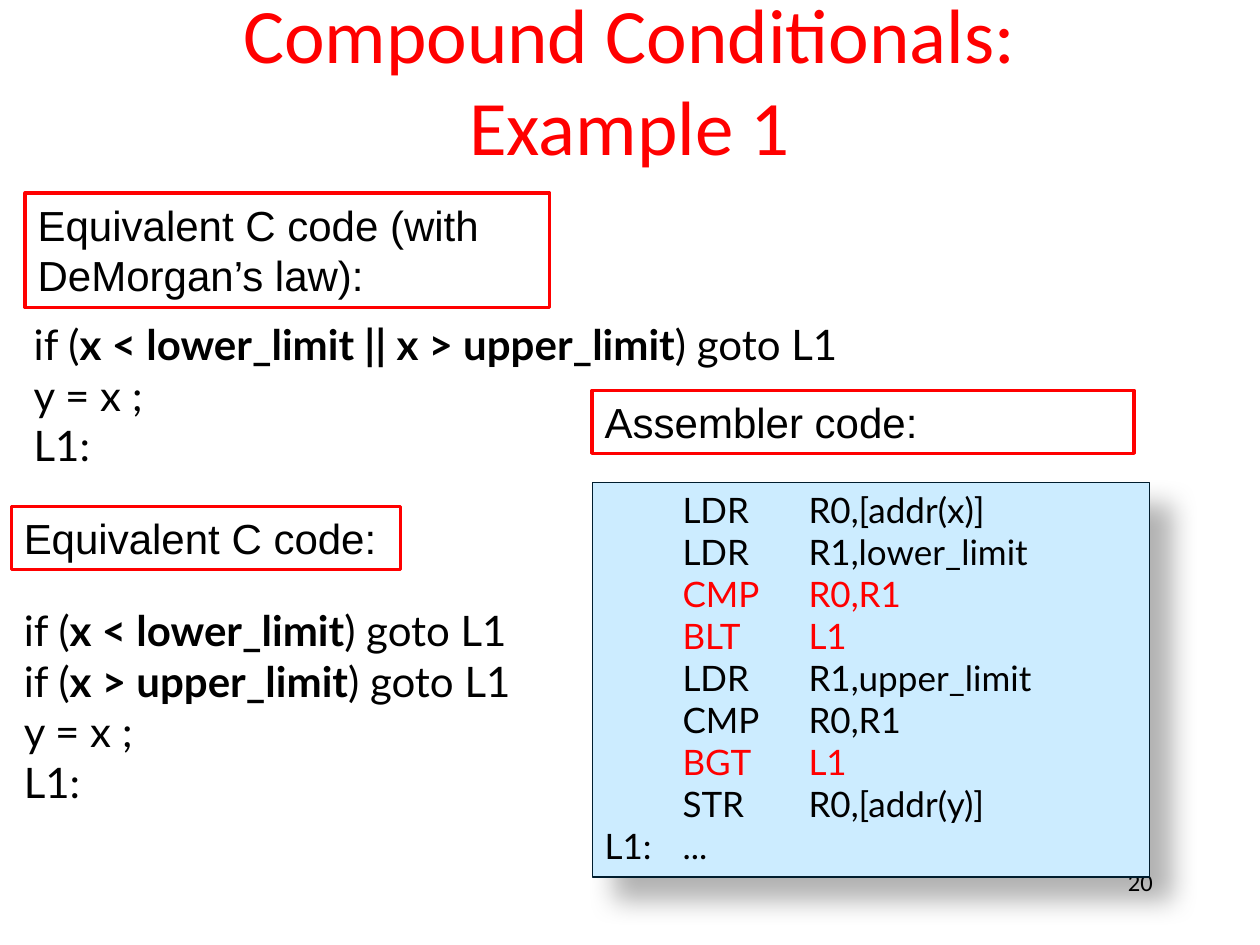
"""Build the slide on compound conditionals in C and assembler."""
from lxml import etree
from pptx import Presentation
from pptx import util as u
from pptx.dml.color import RGBColor
from pptx.enum import shapes, text
from pptx.oxml.ns import qn


def rgb(value):
    return RGBColor.from_string(value)


def write(sp, lines, font="Lato", size=24, color="000000", marked=None, bold=False,
          align=text.PP_ALIGN.LEFT, anchor=text.MSO_ANCHOR.TOP, grow=True, tabs=()):
    """Write lines into a shape; every second piece of a line is emphasised."""
    tf = sp.text_frame
    tf.word_wrap = True
    tf.vertical_anchor = anchor
    tf.auto_size = text.MSO_AUTO_SIZE.SHAPE_TO_FIT_TEXT if grow else text.MSO_AUTO_SIZE.NONE
    for i, line in enumerate(lines):
        p = tf.add_paragraph() if i else tf.paragraphs[0]
        p.alignment = align
        if tabs:
            tab_list = etree.SubElement(p._p.get_or_add_pPr(), qn("a:tabLst"))
            for tab in tabs:
                etree.SubElement(tab_list, qn("a:tab"), pos=str(u.Cm(tab)), algn="l")
        for j, piece in enumerate(line):
            r = p.add_run()
            r.text = piece
            r.font.name = font
            r.font.size = u.Pt(size)
            r.font.bold = bold and j % 2 == 1
            r.font.color.rgb = rgb(marked if marked and j % 2 else color)


prs = Presentation()
prs.slide_width, prs.slide_height = u.Cm(25.4), u.Cm(19.05)
s = prs.slides.add_slide(prs.slide_layouts[6])

c_code = [
    (0.23, 12.07, 4.37, [("if (", "x < lower_limit", ") goto L1"),
                         ("if (", "x > upper_limit", ") goto L1"),
                         ("y = x ;",), ("L1:",)]),
    (0.43, 6.3, 3.33, [("if (", "x < lower_limit || x > upper_limit", ") goto L1"),
                       ("y = x ;",), ("L1:",)]),
]
for left, top, height, lines in c_code:
    sp = s.shapes.add_textbox(u.Cm(left), u.Cm(top), u.Cm(25.4), u.Cm(height))
    write(sp, lines, bold=True)

headings = [
    (0.51, 3.89, 10.57, 2.31, "Equivalent C code (with DeMorgan’s law):"),
    (0.23, 10.21, 7.85, 1.27, "Equivalent C code:"),
    (11.94, 7.87, 10.92, 1.27, "Assembler code:"),
]
for left, top, width, height, heading in headings:
    sp = s.shapes.add_shape(shapes.MSO_SHAPE.RECTANGLE,
                            u.Cm(left), u.Cm(top), u.Cm(width), u.Cm(height))
    sp.shadow.inherit = False
    sp.fill.solid()
    sp.fill.fore_color.rgb = rgb("FFFFFF")
    sp.line.color.rgb = rgb("FF0000")
    sp.line.width = u.Pt(2)
    write(sp, [(heading,)], font="Arial")

sp = s.shapes.add_textbox(u.Cm(1.9), u.Cm(0), u.Cm(21.59), u.Cm(3.18))
write(sp, [("Compound Conditionals: Example 1",)], font="Calibri", size=44, color="FF0000",
      align=text.PP_ALIGN.CENTER, anchor=text.MSO_ANCHOR.MIDDLE, grow=False)

sp = s.shapes.add_textbox(u.Cm(18.21), u.Cm(17.35), u.Cm(5.28), u.Cm(1.27))
write(sp, [("20",)], font="Calibri", size=14, align=text.PP_ALIGN.RIGHT, grow=False)

sp = s.shapes.add_shape(shapes.MSO_SHAPE.RECTANGLE,
                        u.Cm(11.94), u.Cm(9.73), u.Cm(11.23), u.Cm(7.95))
sp.shadow.inherit = False
sp.fill.solid()
sp.fill.fore_color.rgb = rgb("CCECFF")
sp.line.color.rgb = rgb("001D2E")
sp.line.width = u.Pt(0.75)
effects = sp._element.spPr.find(qn("a:effectLst"))
shadow = etree.SubElement(effects, qn("a:outerShdw"), blurRad=str(u.Pt(15)),
                          dist=str(u.Pt(18)), dir=str(45 * 60000),
                          algn="tl", rotWithShape="0")
tint = etree.SubElement(shadow, qn("a:srgbClr"), val="000000")
etree.SubElement(tint, qn("a:alpha"), val="30000")
assembler = [
    ("\tLDR\tR0,[addr(x)]",),
    ("\tLDR\tR1,lower_limit",),
    ("\t", "CMP\tR0,R1"),
    ("\t", "BLT\tL1"),
    ("\tLDR\tR1,upper_limit",),
    ("\tCMP\tR0,R1",),
    ("\t", "BGT\tL1"),
    ("\tSTR\tR0,[addr(y)]",),
    ("L1:\t...",),
]
write(sp, assembler, size=20, marked="FF0000", tabs=(1.57, 4.11, 9.19))

prs.save("out.pptx")
